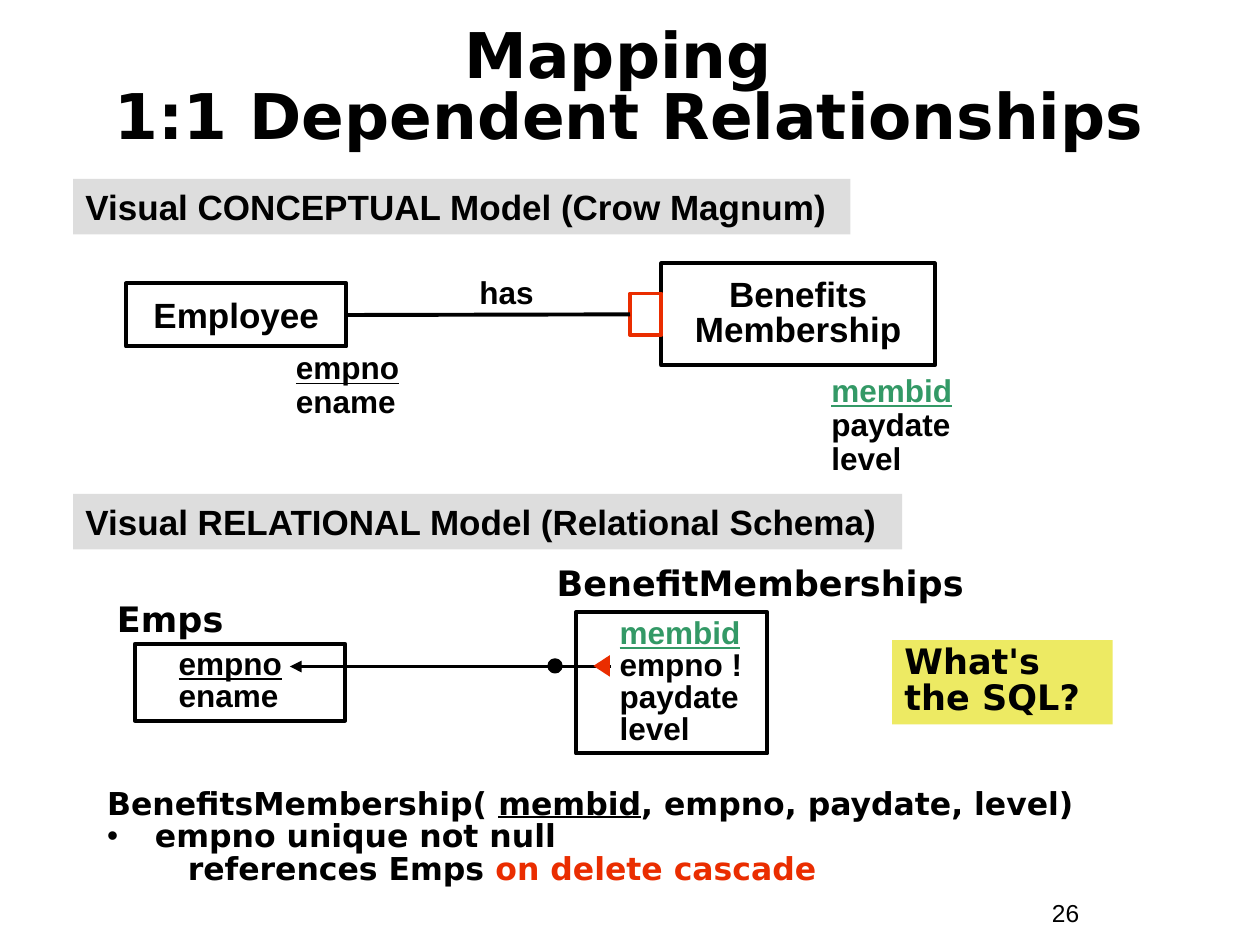
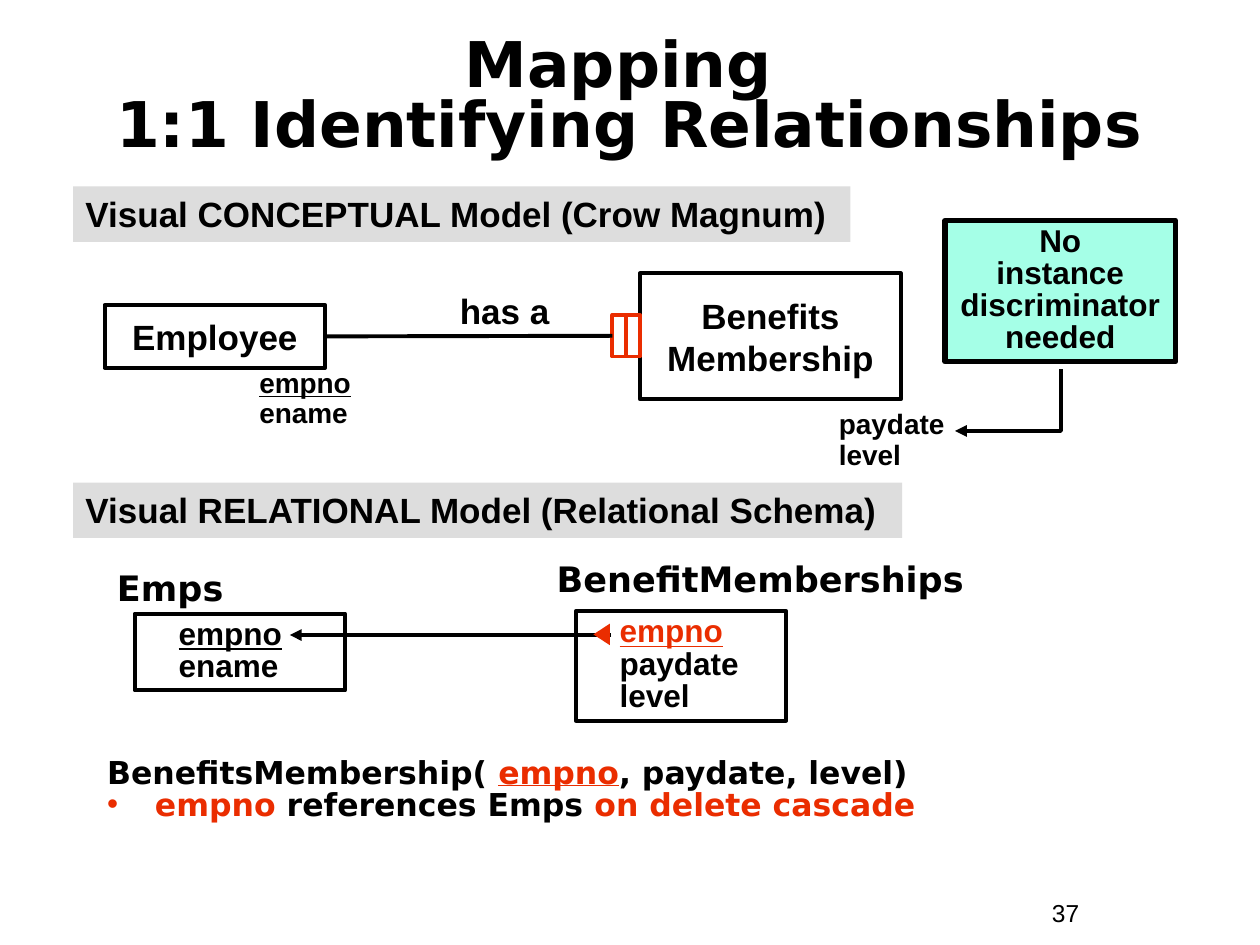
from typing import NamedTuple

from lxml.etree import SubElement
from pptx import Presentation
from pptx.dml.color import RGBColor
from pptx.enum.shapes import MSO_CONNECTOR as LINK, MSO_SHAPE as SHAPE
from pptx.enum.text import MSO_ANCHOR as ANCHOR, MSO_AUTO_SIZE as FIT, PP_ALIGN as ALIGN
from pptx.oxml.ns import qn
from pptx.util import Inches, Pt

BLACK, RED, GREEN = "000000", "EA2D00", "339966"
GREY, YELLOW, MINT = "DDDDDD", "EDEA63", "A5FFE7"
SANS, HEADING = "Arial", "DejaVu Sans"
BORDER = 2.25
RIGHT, LEFT = 3, 1  # connection sites


class Run(NamedTuple):
    text: str
    colour: str = BLACK
    underline: bool = False


class Look(NamedTuple):
    """How the text of one element is set."""
    size: float = 18
    font: str = SANS
    bold: bool = True
    align: ALIGN = ALIGN.LEFT
    spacing: float = 1.0
    anchor: ANCHOR = ANCHOR.TOP
    wrap: bool = True
    indent: float = 0


TITLE = Look(36, HEADING, align=ALIGN.CENTER, spacing=0.8, anchor=ANCHOR.MIDDLE)
BAND = Look(20)
ENTITY = Look(20, align=ALIGN.CENTER, anchor=ANCHOR.MIDDLE, wrap=False)
TIGHT_ENTITY = Look(20, align=ALIGN.CENTER, spacing=0.85, anchor=ANCHOR.MIDDLE, wrap=False)
RELATION = Look(18, align=ALIGN.CENTER)
LARGE_RELATION = Look(20, align=ALIGN.CENTER, wrap=False)
ATTRIBUTES = Look(18, spacing=0.9)
SMALL_ATTRIBUTES = Look(16, spacing=0.9)
TABLE_NAME = Look(20, HEADING)
TIGHT_HEADING = Look(20, HEADING, spacing=0.85)
COLUMNS = Look(18, spacing=0.85, indent=0.25)
SCHEMA = Look(18, HEADING, spacing=0.85)
REMARK = Look(18, align=ALIGN.CENTER, spacing=0.85)
PAGE_NUMBER = Look(14, bold=False)

EMPNO = [Run("empno", underline=True)]
MEMBID = [Run("membid", GREEN, True)]


def rgb(colour):
    return RGBColor.from_string(colour)


class Deck:
    def __init__(self):
        self.presentation = Presentation()
        self.presentation.slide_width = Inches(10)
        self.presentation.slide_height = Inches(7.5)
        self.slide = None

    # Text
    def fill_text(self, frame, paragraphs, look):
        """Fill a frame; each paragraph is a string or a list of runs."""
        frame.word_wrap = look.wrap
        frame.auto_size = FIT.NONE
        frame.vertical_anchor = look.anchor
        for index, content in enumerate(paragraphs):
            paragraph = frame.paragraphs[0] if index == 0 else frame.add_paragraph()
            if isinstance(content, str):
                paragraph.text = content
                styles = [Run(content)] * len(paragraph.runs)
            else:
                styles = content
                for style in styles:
                    paragraph.add_run().text = style.text
            paragraph.alignment = look.align
            paragraph.line_spacing = look.spacing
            paragraph.space_before = Pt(0)
            if look.indent:
                self.indent(paragraph, look.indent)
            for run, style in zip(paragraph.runs, styles):
                font = run.font
                font.name, font.size, font.bold = look.font, Pt(look.size), look.bold
                font.color.rgb = rgb(style.colour)
                font.underline = style.underline

    def indent(self, paragraph, left, first=0):
        properties = paragraph._p.get_or_add_pPr()
        properties.set("marL", str(Inches(left)))
        properties.set("indent", str(Inches(first)))
        return properties

    def text(self, x, y, w, h, paragraphs, look):
        box = self.slide.shapes.add_textbox(Inches(x), Inches(y), Inches(w), Inches(h))
        self.fill_text(box.text_frame, paragraphs, look)

    def place(self, placeholder, x, y, w, h):
        placeholder.left, placeholder.top = Inches(x), Inches(y)
        placeholder.width, placeholder.height = Inches(w), Inches(h)

    def schema(self, y, h, heading, constraint, continuation=None):
        """Relation heading, a bulleted constraint and its indented second line."""
        body = self.slide.placeholders[1]
        self.place(body, 0.75, y, 8.42, h)
        lines = [heading, constraint] + ([continuation] if continuation else [])
        self.fill_text(body.text_frame, lines, SCHEMA)
        indents = [(0.38, -0.38), (0.38, -0.38), (0.64, 0)]
        for index, paragraph in enumerate(body.text_frame.paragraphs):
            properties = self.indent(paragraph, *indents[index])
            if index == 1:
                colour = SubElement(properties, qn("a:buClr"))
                SubElement(colour, qn("a:srgbClr"), val=constraint[0].colour)
                SubElement(properties, qn("a:buFont"), typeface=SANS)
                SubElement(properties, qn("a:buChar"), char="•")
            else:
                SubElement(properties, qn("a:buNone"))

    # Shapes and lines
    def shape(self, x, y, w, h, kind=SHAPE.RECTANGLE, fill=None, line=None,
              width=BORDER, paragraphs=(), look=COLUMNS):
        shape = self.slide.shapes.add_shape(kind, Inches(x), Inches(y), Inches(w), Inches(h))
        shape.shadow.inherit = False
        if fill:
            shape.fill.solid()
            shape.fill.fore_color.rgb = rgb(fill)
        else:
            shape.fill.background()
        if line:
            shape.line.color.rgb = rgb(line)
            shape.line.width = Pt(width)
        else:
            shape.line.fill.background()
        if paragraphs:
            self.fill_text(shape.text_frame, paragraphs, look)
        return shape

    def line(self, x1, y1, x2, y2, kind=LINK.STRAIGHT, arrow=False):
        line = self.slide.shapes.add_connector(
            kind, Inches(x1), Inches(y1), Inches(x2), Inches(y2))
        line.line.color.rgb = rgb(BLACK)
        line.line.width = Pt(BORDER)
        properties = line._element.spPr
        if arrow:
            SubElement(properties.find(qn("a:ln")), qn("a:tailEnd"), type="triangle")
        SubElement(properties, qn("a:effectLst"))
        return line

    def join(self, start, end):
        line = self.line(0, 0, 1, 1)
        line.begin_connect(start, RIGHT)
        line.end_connect(end, LEFT)

    def corner_arrow(self, x1, y1, x2, y2):
        """Arrow that runs down from the start, then left to the end."""
        middle_x, middle_y = (x1 + x2) / 2, (y1 + y2) / 2
        half_w, half_h = (y2 - y1) / 2, (x1 - x2) / 2  # swapped by the quarter turn
        arrow = self.line(middle_x - half_w, middle_y - half_h,
                          middle_x + half_w, middle_y + half_h, LINK.ELBOW, True)
        properties = arrow._element.spPr
        properties.find(qn("a:xfrm")).set("rot", str(90 * 60000))
        properties.find(qn("a:prstGeom")).set("prst", "bentConnector2")

    # Parts that both slides share
    def page(self, title, title_y, number, conceptual_y, relational_y):
        layout = self.presentation.slide_layouts[1]
        self.slide = self.presentation.slides.add_slide(layout)
        heading = self.slide.shapes.title
        self.place(heading, 0.33, title_y, 9.33, 0.92)
        self.fill_text(heading.text_frame, [title], TITLE)
        self.text(8.25, 7.08, 0.92, 0.34, [number], PAGE_NUMBER)
        for y, w, label in (
                (conceptual_y, 6.17, "Visual CONCEPTUAL Model (Crow Magnum)"),
                (relational_y, 6.58, "Visual RELATIONAL Model (Relational Schema)")):
            self.shape(0.58, y, w, 0.44, fill=GREY, paragraphs=[label], look=BAND)

    def entity(self, x, y, w, h, name, look=ENTITY):
        return self.shape(x, y, w, h, line=BLACK, paragraphs=[name], look=look)

    def emps_table(self, y):
        self.text(0.83, y - 0.42, 2.15, 0.44, ["Emps"], TABLE_NAME)
        self.shape(1.07, y, 1.67, 0.61, line=BLACK, paragraphs=[EMPNO, "ename"])

    def memberships_table(self, name_y, y, w, h, columns):
        self.text(4.32, name_y, 4.85, 0.39, ["BenefitMemberships"], TIGHT_HEADING)
        self.shape(4.57, y, w, h, line=BLACK, paragraphs=columns)

    def foreign_key(self, y):
        self.line(4.85, y, 2.3, y, arrow=True)
        self.shape(4.69, y - 0.07, 0.17, 0.13, SHAPE.ISOSCELES_TRIANGLE, RED).rotation = 270


def dependent_slide(deck):
    deck.page("Mapping \n1:1 Dependent Relationships", 0.26, "26", 1.42, 3.92)

    # Conceptual model
    employee = deck.entity(1, 2.25, 1.75, 0.5, "Employee")
    deck.entity(5.25, 2.09, 2.17, 0.81, "Benefits\nMembership", TIGHT_ENTITY)
    dependent_mark = deck.shape(5, 2.33, 0.25, 0.33, line=RED)
    deck.join(employee, dependent_mark)
    deck.text(3.08, 2.12, 1.88, 0.4, ["has"], RELATION)
    deck.text(2.25, 2.75, 1.17, 0.64, [EMPNO, "ename"], ATTRIBUTES)
    deck.text(6.5, 2.93, 1.17, 0.91, [MEMBID, "paydate", "level"], ATTRIBUTES)

    # Relational model
    deck.emps_table(5.11)
    deck.memberships_table(4.46, 4.86, 1.52, 1.12, [MEMBID, "empno !", "paydate", "level"])
    deck.foreign_key(5.29)
    deck.shape(4.36, 5.24, 0.09, 0.09, SHAPE.OVAL, BLACK, BLACK)
    deck.shape(7.08, 5.08, 1.75, 0.67, fill=YELLOW,
               paragraphs=["What's\nthe SQL?"], look=TIGHT_HEADING)
    deck.schema(6.22, 0.87,
                [Run("BenefitsMembership( "), Run("membid", underline=True),
                 Run(", empno, paydate, level)")],
                [Run("empno unique not null")],
                [Run("references Emps "), Run("on delete cascade", RED)])


def identifying_slide(deck):
    deck.page("Mapping \n1:1 Identifying Relationships", 0.33, "37", 1.48, 3.83)

    # Conceptual model
    employee = deck.entity(0.83, 2.42, 1.75, 0.5, "Employee")
    deck.entity(5.08, 2.17, 2.07, 1, "Benefits\nMembership")
    identifying_mark, _ = [deck.shape(x, 2.5, 0.11, 0.33, line=RED) for x in (4.86, 4.97)]
    deck.join(employee, identifying_mark)
    deck.text(3.55, 2.25, 0.91, 0.44, ["has a"], LARGE_RELATION)
    deck.text(1.96, 2.88, 1.04, 0.58, [EMPNO, "ename"], SMALL_ATTRIBUTES)
    deck.text(6.56, 3.21, 1.04, 0.58, ["paydate", "level"], SMALL_ATTRIBUTES)
    deck.shape(7.5, 1.75, 1.83, 1.12, fill=MINT, line=BLACK, width=3,
               paragraphs=["No\ninstance\ndiscriminator\nneeded"], look=REMARK)
    deck.corner_arrow(8.42, 2.93, 7.58, 3.42)

    # Relational model
    deck.emps_table(4.87)
    deck.memberships_table(4.43, 4.85, 1.67, 0.87,
                           [[Run("empno", RED, True)], "paydate", "level"])
    deck.foreign_key(5.04)
    deck.schema(5.97, 0.61,
                [Run("BenefitsMembership( "), Run("empno", RED, True),
                 Run(", paydate, level)")],
                [Run("empno", RED), Run(" references Emps "), Run("on delete cascade", RED)])


def main():
    deck = Deck()
    dependent_slide(deck)
    identifying_slide(deck)
    deck.presentation.save("out.pptx")


if __name__ == "__main__":
    main()
